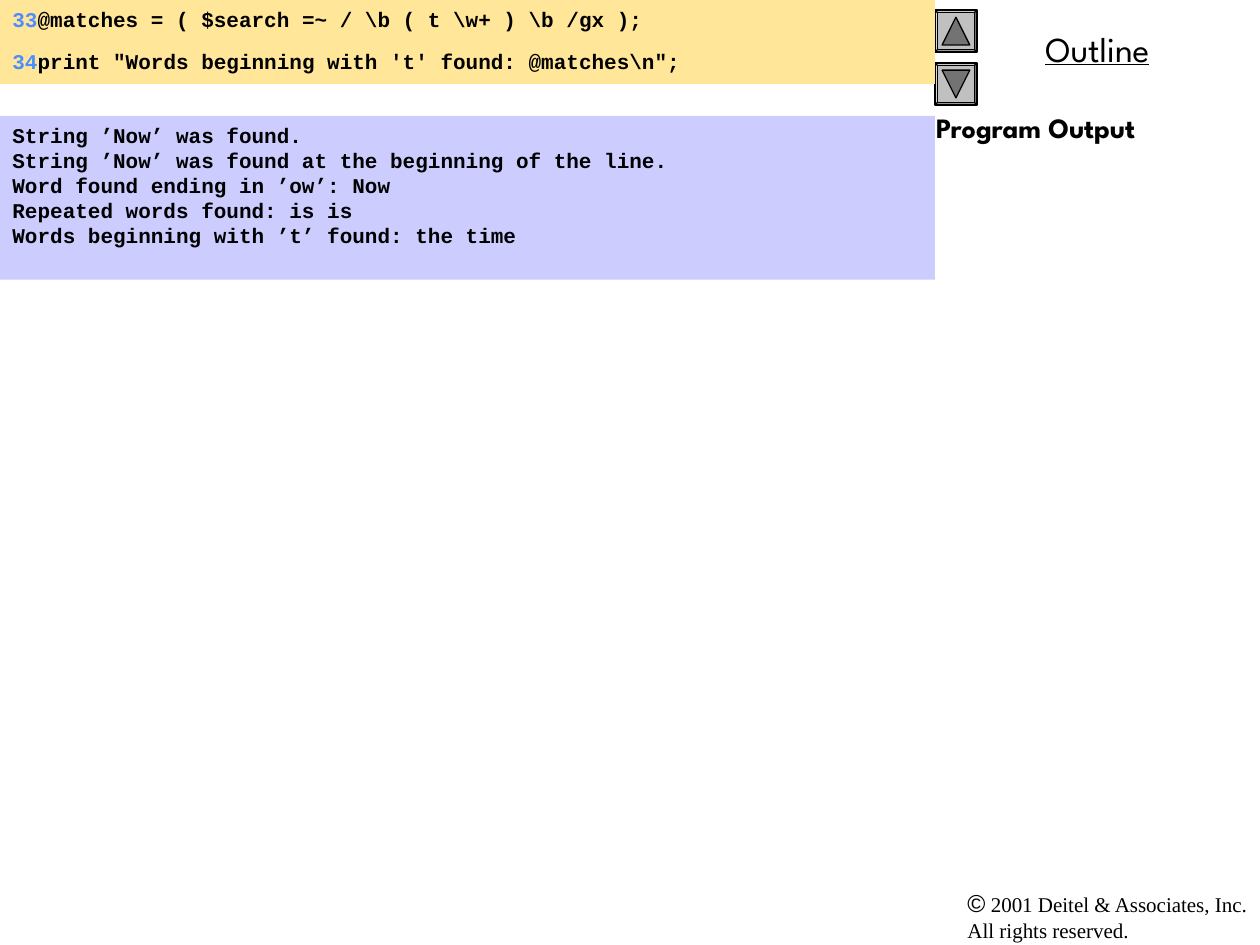
"""Build a code slide with its program output and an outline sidebar."""
from dataclasses import dataclass

import pptx
import pptx.dml.color
import pptx.enum.shapes
import pptx.enum.text
import pptx.util

Inches = pptx.util.Inches
Pt = pptx.util.Pt
Align = pptx.enum.text.PP_ALIGN
Shape = pptx.enum.shapes.MSO_SHAPE


@dataclass(frozen=True)
class Theme:
    black: str = "000000"
    number: str = "4D8DFF"
    code_fill: str = "FFE699"
    output_fill: str = "CCCCFF"
    button: str = "C0C0C0"
    arrow: str = "737373"
    mono: str = "Courier New"
    heading: str = "League Spartan"
    serif: str = "Times New Roman"
    sans: str = "Arial"
    small: float = 12
    symbol: float = 14
    label: float = 16
    title: float = 20
    code_pitch: float = 14.4
    border: float = 0.75


@dataclass(frozen=True)
class Span:
    text: str
    font: str
    size: float
    color: str
    bold: bool = False
    underline: bool = False


@dataclass(frozen=True)
class Panel:
    top: float
    height: float
    fill: str
    lines: list[list[Span]]


@dataclass(frozen=True)
class Button:
    top: float
    arrow_turn: float


THEME = Theme()
PANEL_WIDTH = 7.42
ROW_HEIGHT = 1 / 3
BUTTON_SIZE = 1 / 3
ARROW_SIZE = 0.22


def color(value: str) -> pptx.dml.color.RGBColor:
    """Turn a hex value into a colour."""
    return pptx.dml.color.RGBColor.from_string(value)


def set_all(target: object, values: dict) -> None:
    """Set each named attribute on the target."""
    for name, value in values.items():
        setattr(target, name, value)


def inches(*lengths: float) -> list:
    """Convert lengths to inches."""
    return [Inches(length) for length in lengths]


def code(text: str, tint: str = THEME.black) -> Span:
    """Make a bold monospaced span."""
    return Span(text, THEME.mono, THEME.small, tint, bold=True)


def add_span(para, span: Span) -> None:
    """Add a formatted span, breaking the line at each newline."""
    for index, part in enumerate(span.text.split("\n")):
        if index:
            para.add_line_break()
        run = para.add_run()
        run.text = part
        set_all(run.font, {"name": span.font, "size": Pt(span.size),
                           "bold": span.bold, "underline": span.underline})
        run.font.color.rgb = color(span.color)


def write(frame, lines: list[list[Span]], **para_format) -> None:
    """Fill a text frame with one paragraph per line."""
    set_all(frame, {"word_wrap": True, "vertical_anchor": pptx.enum.text.MSO_ANCHOR.TOP})
    values = {"alignment": Align.LEFT, "space_before": Pt(0), **para_format}
    for index, line in enumerate(lines):
        para = frame.add_paragraph() if index else frame.paragraphs[0]
        set_all(para, values)
        for span in line:
            add_span(para, span)


def add_shape(page, kind, place: list, fill: str, border: str | None = None):
    """Add a flat shape with an optional border."""
    box = page.shapes.add_shape(kind, *place)
    box.shadow.inherit = False
    box.fill.solid()
    box.fill.fore_color.rgb = color(fill)
    if border:
        box.line.color.rgb = color(border)
        box.line.width = Pt(THEME.border)
    else:
        box.line.fill.background()
    return box


def add_panel(page, panel: Panel) -> None:
    """Add a filled panel of monospaced lines."""
    box = add_shape(page, Shape.RECTANGLE, inches(0, panel.top, PANEL_WIDTH, panel.height), panel.fill)
    write(box.text_frame, panel.lines, line_spacing=Pt(THEME.code_pitch))


def add_button(page, button: Button) -> None:
    """Add a bevelled button with a centred arrow."""
    frame = add_shape(page, Shape.BEVEL, inches(PANEL_WIDTH, button.top, BUTTON_SIZE, BUTTON_SIZE),
                      THEME.button, THEME.black)
    frame.adjustments[0] = 0.06
    inset = (BUTTON_SIZE - ARROW_SIZE) / 2
    arrow = add_shape(page, Shape.ISOSCELES_TRIANGLE,
                      inches(PANEL_WIDTH + inset, button.top + inset, ARROW_SIZE, ARROW_SIZE),
                      THEME.arrow, THEME.black)
    arrow.rotation = button.arrow_turn


def add_sidebar(page) -> None:
    """Add the copyright, outline heading, buttons and section label."""
    notice = page.shapes.add_textbox(*inches(7.58, 7, 3.92, 0.54))
    write(notice.text_frame, [[
        Span("©", THEME.sans, THEME.symbol, THEME.black),
        Span(" 2001 Deitel & Associates, Inc.\nAll rights reserved.", THEME.serif, THEME.small, THEME.black),
    ]])
    outline = page.shapes.add_textbox(*inches(PANEL_WIDTH, 0.17, 2.58, 0.44))
    write(outline.text_frame,
          [[Span("Outline", THEME.heading, THEME.title, THEME.black, underline=True)]],
          alignment=Align.CENTER)
    for button in (Button(0.08, 0), Button(0.5, 180)):
        add_button(page, button)
    label = page.placeholders[1]
    set_all(label, dict(zip(("left", "top", "width", "height"), inches(7.33, 0.83, 2.67, 6.67))))
    write(label.text_frame, [[Span("Program Output", THEME.heading, THEME.label, THEME.black, bold=True)]])


def main() -> None:
    """Build and save the deck."""
    deck = pptx.Presentation()
    set_all(deck, {"slide_width": Inches(10), "slide_height": Inches(7.5)})
    page = deck.slides.add_slide(deck.slide_layouts[0])
    title = page.shapes.title.element
    title.getparent().remove(title)
    add_sidebar(page)

    output = [
        "String ’Now’ was found.",
        "String ’Now’ was found at the beginning of the line.",
        "Word found ending in ’ow’: Now",
        "Repeated words found: is is",
        "Words beginning with ’t’ found: the time",
    ]
    add_panel(page, Panel(0.92, 1.3, THEME.output_fill, [[code(line)] for line in output]))

    statements = [
        r"@matches = ( $search =~ / \b ( t \w+ ) \b /gx );",
        r"""print "Words beginning with 't' found: @matches\n";""",
    ]
    for row, statement in enumerate(statements):
        line = [code(str(33 + row), THEME.number), code(statement)]
        add_panel(page, Panel(row * ROW_HEIGHT, ROW_HEIGHT, THEME.code_fill, [line]))
    deck.save("out.pptx")


if __name__ == "__main__":
    main()
